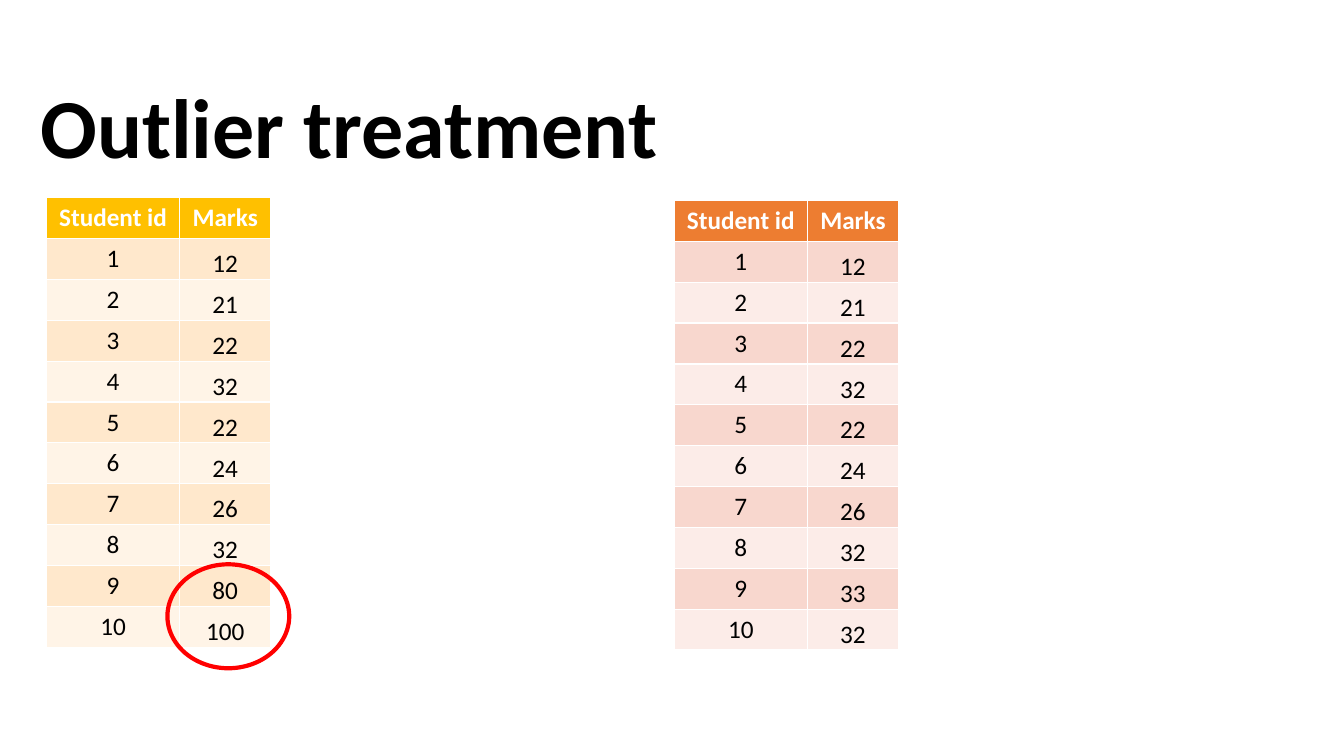
from pptx import Presentation
from pptx.dml.color import RGBColor
from pptx.enum import shapes, text
from pptx.util import Cm, Pt

# Content
TITLE = "Outlier treatment"
HEADERS = ("Student id", "Marks")
SHARED_MARKS = [12, 21, 22, 32, 22, 24, 26, 32]
RAW_MARKS = SHARED_MARKS + [80, 100]
TREATED_MARKS = SHARED_MARKS + [33, 32]

# Colours and font
BLACK = RGBColor(0x00, 0x00, 0x00)
WHITE = RGBColor(0xFF, 0xFF, 0xFF)
RED = RGBColor(0xFF, 0x00, 0x00)
GOLD = RGBColor(0xFF, 0xC0, 0x00)
GOLD_BANDS = (RGBColor(0xFF, 0xE8, 0xCC), RGBColor(0xFF, 0xF4, 0xE7))
ORANGE = RGBColor(0xED, 0x7D, 0x31)
ORANGE_BANDS = (RGBColor(0xF8, 0xD7, 0xCE), RGBColor(0xFC, 0xEC, 0xE8))
FONT = "Calibri"

# Table geometry in centimetres
COLUMN_WIDTHS = (3.36, 2.29)
ROW_HEIGHT = 1.03
TABLES = [
    (1.17, 4.98, RAW_MARKS, GOLD, GOLD_BANDS),
    (16.99, 5.05, TREATED_MARKS, ORANGE, ORANGE_BANDS),
]
MARK_CELL = {
    "vertical_anchor": text.MSO_ANCHOR.BOTTOM,
    "margin_left": Cm(0.03),
    "margin_top": Cm(0.03),
    "margin_right": Cm(0.03),
    "margin_bottom": Cm(0),
}


def apply_format(target, values):
    for name, value in values.items():
        setattr(target, name, value)


def write(para, words, size, color, bold, align):
    para.text = words
    para.alignment = align
    apply_format(para.font, {"name": FONT, "size": Pt(size), "bold": bold})
    para.font.color.rgb = color


def add_marks_table(page, left, top, marks, header_color, bands):
    rows = [HEADERS, *enumerate(marks, start=1)]
    table = page.shapes.add_table(
        len(rows), len(HEADERS), Cm(left), Cm(top),
        Cm(sum(COLUMN_WIDTHS)), Cm(ROW_HEIGHT * len(rows))).table
    for column, width in zip(table.columns, COLUMN_WIDTHS):
        column.width = Cm(width)
    for r, values in enumerate(rows):
        table.rows[r].height = Cm(ROW_HEIGHT)
        is_header = r == 0
        for c, value in enumerate(values):
            cell = table.cell(r, c)
            cell.fill.solid()
            cell.fill.fore_color.rgb = header_color if is_header else bands[(r - 1) % 2]
            if c == 1 and not is_header:
                apply_format(cell, MARK_CELL)
            write(cell.text_frame.paragraphs[0], str(value), 18,
                  WHITE if is_header else BLACK, is_header, text.PP_ALIGN.CENTER)


def main():
    deck = Presentation()
    deck.slide_width, deck.slide_height = Cm(33.87), Cm(19.05)
    page = deck.slides.add_slide(deck.slide_layouts[5])

    # Title
    title = page.shapes.title
    apply_format(title, {"left": Cm(0.76), "top": Cm(1.75),
                         "width": Cm(16.23), "height": Cm(2.82)})
    apply_format(title.text_frame, {
        "word_wrap": False,
        "auto_size": text.MSO_AUTO_SIZE.SHAPE_TO_FIT_TEXT,
        "vertical_anchor": text.MSO_ANCHOR.TOP,
    })
    write(title.text_frame.paragraphs[0], TITLE, 60, BLACK, True, text.PP_ALIGN.LEFT)

    # Marks before and after treatment
    for table_values in TABLES:
        add_marks_table(page, *table_values)

    # Ring around the outliers
    ring = page.shapes.add_shape(shapes.MSO_SHAPE.OVAL,
                                 Cm(4.22), Cm(14.22), Cm(3.07), Cm(2.62))
    ring.shadow.inherit = False
    ring.fill.background()
    ring.line.color.rgb = RED
    ring.line.width = Pt(3)

    deck.save("out.pptx")


if __name__ == "__main__":
    main()
